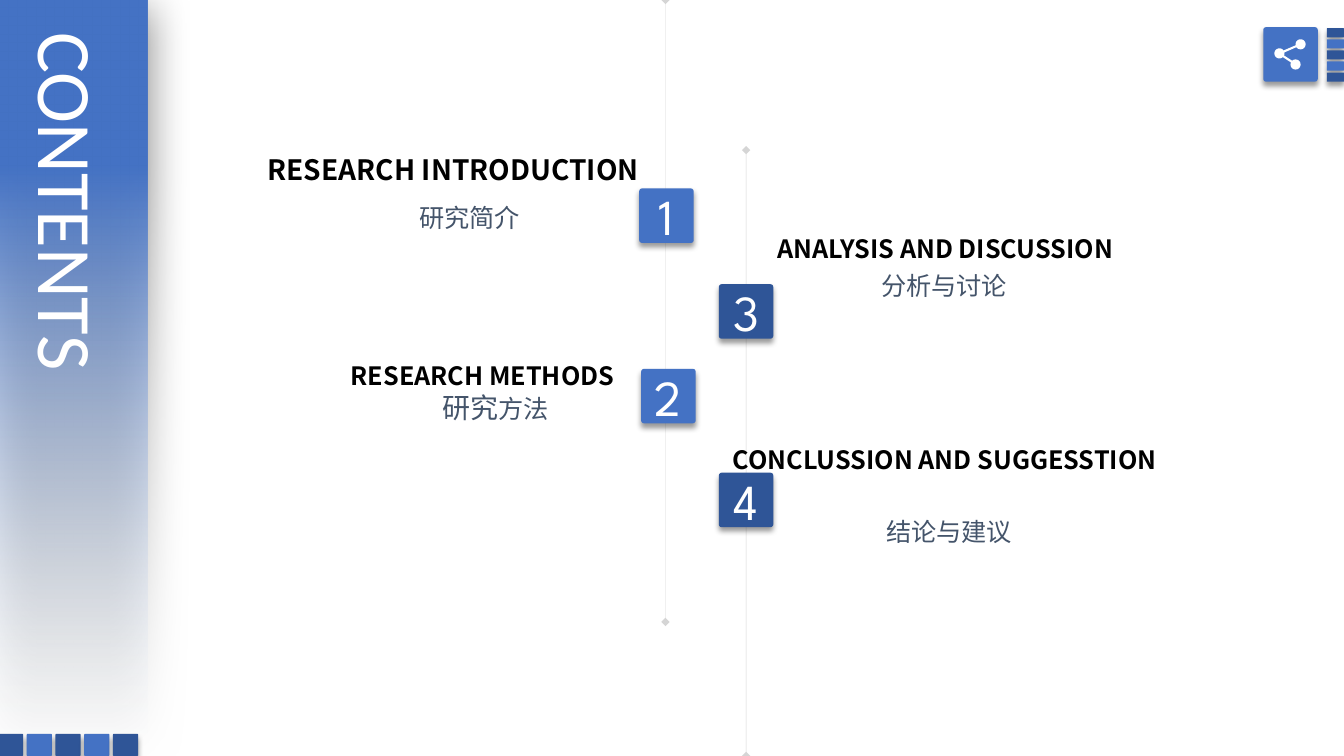
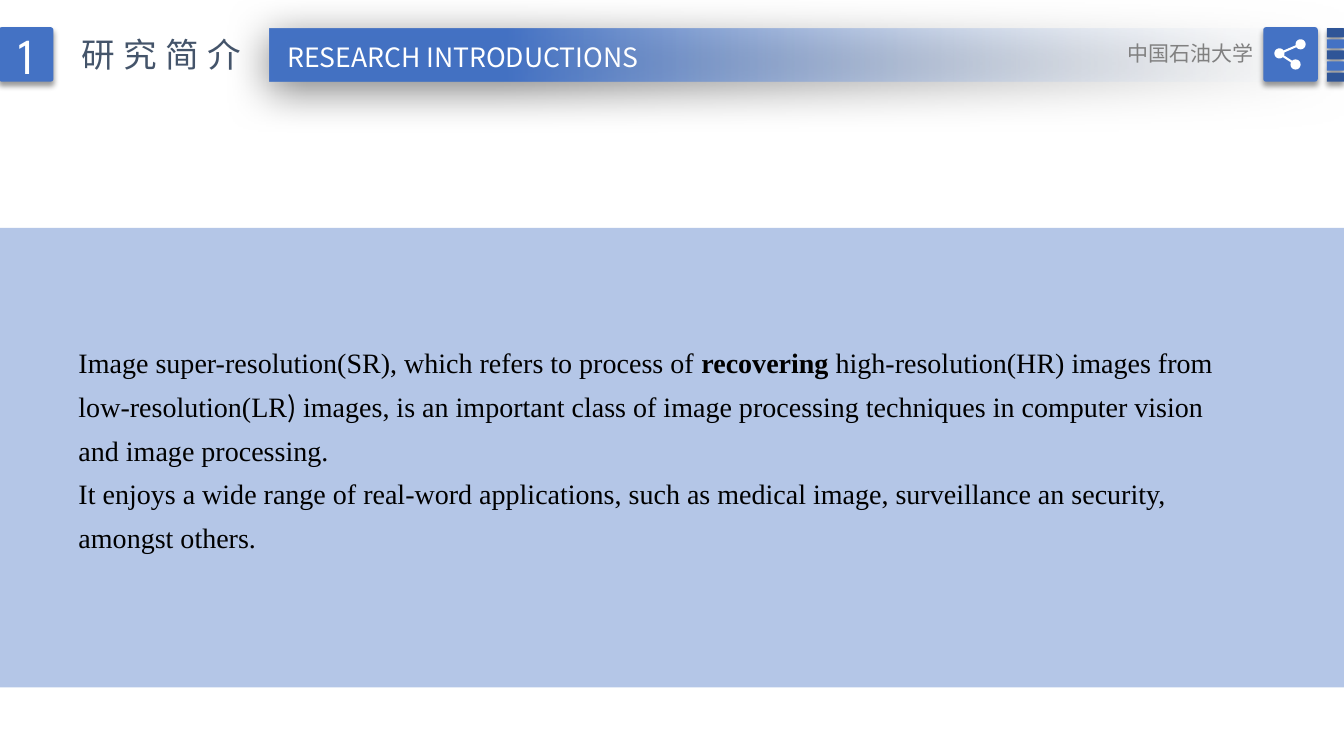
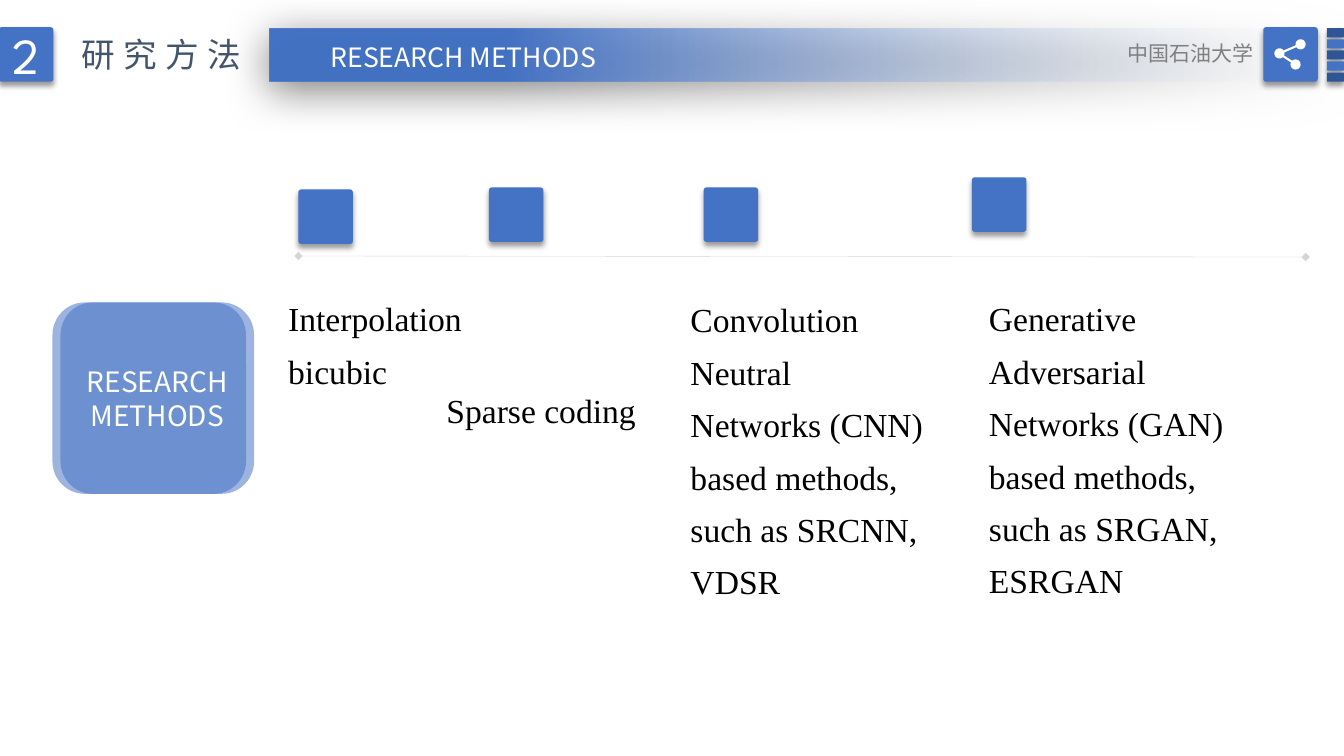
import math

import lxml.etree
import pptx
import pptx.dml.color
import pptx.enum.shapes
import pptx.enum.text
import pptx.oxml.ns
import pptx.util

Inches = pptx.util.Inches
Pt = pptx.util.Pt
qn = pptx.oxml.ns.qn
colour = pptx.dml.color.RGBColor.from_string
SHAPE = pptx.enum.shapes.MSO_SHAPE
ANCHOR = pptx.enum.text.MSO_ANCHOR
ALIGN = pptx.enum.text.PP_ALIGN

# Shared style
BLUE, NAVY, SLATE, GREY = "4472C4", "2F5597", "44546A", "808080"
WHITE, BLACK, PALE = "FFFFFF", "000000", "F7FAFD"
SANS, SERIF, DIGITS = "Noto Sans CJK SC", "Times New Roman", "League Spartan"
TILE = (0.54, 0.54)
# Shadows: opacity %, blur pt, distance pt, direction in degrees
TILE_SHADOW = (40, 4, 3, 90)
BAND_SHADOW = (50, 31, 6, 97)


def add_box(slide, place, fill, kind=SHAPE.ROUNDED_RECTANGLE, corner=0.05,
            opacity=100, shadow=TILE_SHADOW):
    """Add a borderless shape; a fill of None gives the fading blue band."""
    shape = slide.shapes.add_shape(kind, *[Inches(length) for length in place])
    if kind == SHAPE.ROUNDED_RECTANGLE:
        shape.adjustments[0] = corner
    shape.line.fill.background()
    shape.shadow.inherit = False
    properties = shape.element.spPr
    if fill is None:
        shape.fill.gradient()
        shape.fill.gradient_angle = 180
        for stop, (position, tone) in zip(shape.fill.gradient_stops, ((0, PALE), (0.78, BLUE))):
            stop.position = position
            stop.color.rgb = colour(tone)
        opacity = 0
    else:
        shape.fill.solid()
        shape.fill.fore_color.rgb = colour(fill)
    if opacity < 100:
        tone = properties.find(".//" + qn("a:srgbClr"))
        lxml.etree.SubElement(tone, qn("a:alpha"), val=str(opacity * 1000))
    if shadow:
        strength, blur, distance, direction = shadow
        effect = lxml.etree.SubElement(
            properties.find(qn("a:effectLst")), qn("a:outerShdw"),
            blurRad=str(Pt(blur)), dist=str(Pt(distance)),
            dir=str(direction * 60000), algn="ctr", rotWithShape="0")
        tone = lxml.etree.SubElement(effect, qn("a:srgbClr"), val=BLACK)
        lxml.etree.SubElement(tone, qn("a:alpha"), val=str(strength * 1000))
    return shape


def write(shape, paragraphs, size, font, tone, align=ALIGN.LEFT, anchor=ANCHOR.TOP,
          spacing=None, bold=False, wrap=True, tracking=0):
    """Fill a shape; a run is a string or (string, changed settings)."""
    frame = shape.text_frame
    frame.word_wrap = wrap
    frame.auto_size = pptx.enum.text.MSO_AUTO_SIZE.NONE
    frame.vertical_anchor = anchor
    for index, parts in enumerate(paragraphs):
        paragraph = frame.add_paragraph() if index else frame.paragraphs[0]
        paragraph.alignment = align
        if spacing:
            paragraph.line_spacing = spacing
        for part in parts:
            text, changes = part if isinstance(part, tuple) else (part, {})
            run = paragraph.add_run()
            run.text = text
            run.font.size = Pt(changes.get("size", size))
            run.font.bold = changes.get("bold", bold)
            run.font.color.rgb = colour(tone)
            run.font.name = changes.get("font", font)
            settings = run.font._element
            lxml.etree.SubElement(settings, qn("a:ea"), typeface=run.font.name)
            if tracking:
                settings.set("spc", str(tracking * 100))


presentation = pptx.Presentation()
presentation.slide_width = Inches(13.33)
presentation.slide_height = Inches(7.5)
title_only = presentation.slide_layouts[5]
contents, introduction, methods = [
    presentation.slides.add_slide(title_only) for _ in range(3)]

# Thin lines with diamond ends
for slide, ends in (
    (contents, (7.4, 1.49, 7.4, 7.5)),
    (contents, (6.6, 0, 6.6, 6.17)),
    (methods, (2.96, 2.54, 12.95, 2.55)),
):
    connector = slide.shapes.add_connector(
        pptx.enum.shapes.MSO_CONNECTOR.STRAIGHT, *[Inches(length) for length in ends])
    connector.line.width = Pt(0.25)
    connector.line.color.rgb = colour(GREY)
    properties = connector.element.spPr
    lxml.etree.SubElement(properties.find(".//" + qn("a:srgbClr")), qn("a:alpha"), val="33000")
    for end in ("a:headEnd", "a:tailEnd"):
        lxml.etree.SubElement(properties.find(qn("a:ln")), qn(end), type="diamond")
    lxml.etree.SubElement(properties, qn("a:effectLst"))

# Contents: side band and bottom squares
side_band = add_box(contents, (-3, 2.99, 7.46, 1.47), None, SHAPE.RECTANGLE,
                    shadow=BAND_SHADOW)
side_band.rotation = 90
for index in range(5):
    add_box(contents, (-0.02 + index * 1.14 / 4, 7.28, 0.25, 0.22), (NAVY, BLUE)[index % 2])

# Contents: vertical title
title = contents.shapes.title
title.left, title.top, title.width, title.height = [
    Inches(length) for length in (0.12, 0.27, 1.13, 4.94)]
write(title, [["CONTENTS"]], 55, "Calibri", WHITE)
title.text_frame._txBody.bodyPr.set("vert", "eaVert")
contents.shapes.element.append(title.element)

# Contents: numbered entries
entries = (
    ("1", BLUE, (6.34, 1.87), "RESEARCH INTRODUCTION", 20, (2.45, 1.46, 4.09, 0.44),
     ["研究简介"], (4.06, 1.96, 1.21, 0.4)),
    ("2", BLUE, (6.36, 3.66), "RESEARCH METHODS", 18, (3.3, 3.53, 2.97, 0.4),
     [("研究", {"size": 20}), "方法"], (4.29, 3.83, 1.27, 0.44)),
    ("3", NAVY, (7.13, 2.82), "ANALYSIS AND DISCUSSION", 18, (7.46, 2.27, 3.83, 0.4),
     ["分析与讨论"], (8.64, 2.63, 1.46, 0.4)),
    ("4", NAVY, (7.13, 4.69), "CONCLUSSION AND SUGGESSTION", 18, (7.03, 4.36, 4.68, 0.4),
     ["结论与建议"], (8.69, 5.07, 1.46, 0.4)),
)
for number, fill, corner, heading, size, heading_place, chinese, chinese_place in entries:
    tile = add_box(contents, corner + TILE, fill)
    write(tile, [[number]], 36, DIGITS, WHITE, ALIGN.CENTER, ANCHOR.MIDDLE)
    box = contents.shapes.add_textbox(*[Inches(length) for length in chinese_place])
    write(box, [chinese], 18, SANS, SLATE, wrap=False)
    box = contents.shapes.add_textbox(*[Inches(length) for length in heading_place])
    write(box, [[heading]], size, SANS, BLACK, ALIGN.CENTER, bold=True, wrap=False)

# Introduction: text panel
add_box(introduction, (0, 2.26, 13.33, 4.56), BLUE, SHAPE.RECTANGLE, opacity=40, shadow=None)
box = introduction.shapes.add_textbox(Inches(0.68), Inches(3.28), Inches(11.78), Inches(2.97))
write(box, [
    ["Image super-resolution(SR), which refers to process of ",
     ("recovering", {"bold": True}),
     " high-resolution(HR) images from low-resolution(LR",
     (") ", {"font": SANS}),
     "images, is an important class of image processing techniques in computer vision "
     "and image processing."],
    ["It enjoys a wide range of real-word applications, such as medical image, "
     "surveillance an security, amongst others."],
], 20, SERIF, BLACK, spacing=1.3)

# Methods: label made of two overlapping shapes
for left in (0.52, 0.6):
    label = add_box(methods, (left, 3, 1.92, 1.9), BLUE, corner=0.17, opacity=53, shadow=None)
write(label, [["RESEARCH METHODS"]], 20, SANS, WHITE, ALIGN.CENTER, ANCHOR.MIDDLE)

# Methods: one tile and text per method
for corner, place, paragraphs, spacing in (
    ((2.96, 1.88), (2.76, 2.79, 2.51, 1.1), [["Interpolation"], ["bicubic"]], 1.3),
    ((4.85, 1.86), (4.33, 3.82, 2.1, 0.5), [["Sparse coding"]], None),
    ((6.98, 1.86), (6.75, 2.8, 2.51, 3.25),
     [["Convolution Neutral Networks (CNN) based methods, such as SRCNN, VDSR"]], 1.3),
    ((9.64, 1.76), (9.71, 2.79, 2.81, 3.25),
     [["Generative Adversarial Networks (GAN) based methods, such as SRGAN,"], ["ESRGAN"]], 1.3),
):
    add_box(methods, corner + TILE, BLUE)
    box = methods.shapes.add_textbox(*[Inches(length) for length in place])
    write(box, paragraphs, 24, SERIF, BLACK, spacing=spacing)

# Header of the two chapter slides
for slide, number, chinese, heading, left, width in (
    (introduction, "1", "研究简介", "RESEARCH INTRODUCTIONS", 2.65, 3.88),
    (methods, "2", "研究方法", "RESEARCH METHODS", 3.1, 2.99),
):
    add_box(slide, (2.67, 0.28, 10.67, 0.53), None, SHAPE.RECTANGLE, shadow=BAND_SHADOW)
    tile = add_box(slide, (-0.01, 0.27) + TILE, BLUE)
    write(tile, [[number]], 36, DIGITS, WHITE, ALIGN.CENTER, ANCHOR.MIDDLE)
    box = slide.shapes.add_textbox(Inches(0.71), Inches(0.29), Inches(1.88), Inches(0.5))
    write(box, [[chinese]], 24, SANS, SLATE, wrap=False, tracking=6)
    title = slide.shapes.title
    title.left, title.top, title.width, title.height = [
        Inches(length) for length in (left, 0.36, width, 0.42)]
    write(title, [[heading]], 19, SANS, WHITE, ALIGN.CENTER, wrap=False)
    slide.shapes.element.append(title.element)
    box = slide.shapes.add_textbox(Inches(10.16), Inches(0.35), Inches(2.37), Inches(0.35))
    write(box, [["中国石油大学"]], 15, SANS, GREY, ALIGN.RIGHT)

# Share icon outline: arcs around three dots (centre, start and end degrees)
upper, middle, lower = (12.9, 0.44), (12.69, 0.53), (12.85, 0.64)
outline = []
for (x, y), start, end in ((upper, 169, 505), (middle, -11, 24),
                           (lower, 228, 564), (middle, 48, 325)):
    for step in range(25):
        angle = math.radians(start + (end - start) * step / 24)
        outline.append((Inches(x + 0.05 * math.cos(angle)), Inches(y + 0.05 * math.sin(angle))))

# Corner mark on every slide
for slide in presentation.slides:
    for index in range(5):
        add_box(slide, (13.16, 0.28 + index * 0.11, 0.17, 0.09), (NAVY, BLUE)[index % 2])
    add_box(slide, (12.53, 0.27) + TILE, BLUE)
    builder = slide.shapes.build_freeform(*outline[0])
    builder.add_line_segments(outline[1:], close=True)
    icon = builder.convert_to_shape()
    icon.fill.solid()
    icon.fill.fore_color.rgb = colour(WHITE)
    icon.line.fill.background()
    icon.shadow.inherit = False

presentation.save("out.pptx")
